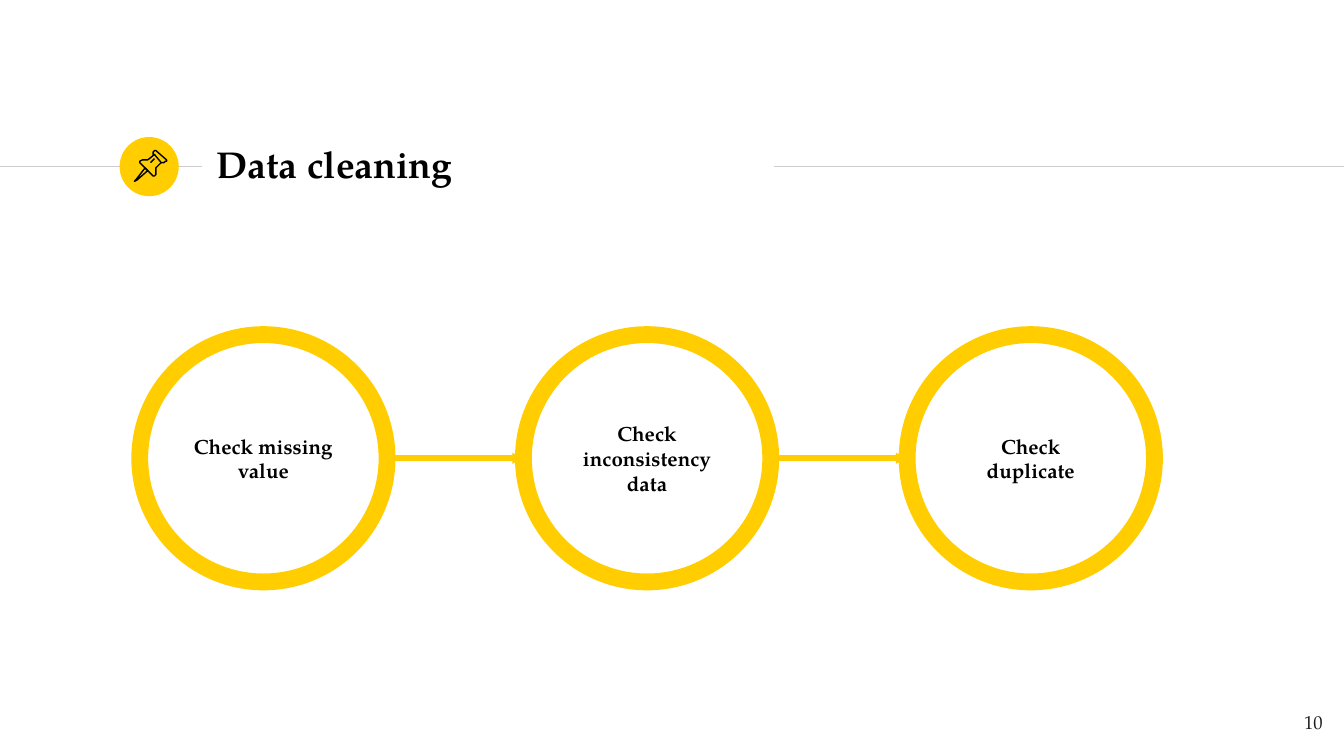
from lxml import etree
from pptx import Presentation
from pptx.dml.color import RGBColor
from pptx.enum.shapes import MSO_CONNECTOR as CONN, MSO_SHAPE as SHAPE
from pptx.enum.text import MSO_ANCHOR as ANCHOR, MSO_AUTO_SIZE as AUTO, PP_ALIGN as ALIGN
from pptx.oxml.ns import qn
from pptx.util import Inches, Pt

COLORS = {"yellow": "FFCD00", "rule": "CCCCCC", "black": "000000", "number": "1D1D1B"}
FONT = "TeX Gyre Pagella"

WIDTH = 10
HEIGHT = WIDTH * 9 / 16

STEPS = ["Check missing value", "Check inconsistency data", "Check duplicate"]
STEP_TOP, STEP_SIZE = 2.49, 1.84
FIRST_LEFT, LAST_LEFT = 1.04, 6.75
STEP_PITCH = (LAST_LEFT - FIRST_LEFT) / (len(STEPS) - 1)
RULE_Y = 1.24

PIN_NEEDLE = [(1.08, 1.25), (1.01, 1.34), (1, 1.35), (1.02, 1.34), (1.1, 1.27)]
PIN_HEAD = [(1.15, 1.15), (1.2, 1.21), (1.22, 1.21), (1.23, 1.2), (1.24, 1.2),
            (1.24, 1.19), (1.16, 1.12), (1.15, 1.12), (1.14, 1.13), (1.14, 1.15)]
PIN_BODY = [(1.15, 1.15), (1.1, 1.19), (1.08, 1.19), (1.06, 1.19), (1.04, 1.2),
            (1.04, 1.21), (1.14, 1.31), (1.15, 1.31), (1.16, 1.3), (1.16, 1.28),
            (1.16, 1.25), (1.2, 1.21)]
PIN_SHINE = [(1.12, 1.21), (1.15, 1.18)]


def rgb(name):
    return RGBColor.from_string(COLORS[name])


def write(sp, text, size, color="black", bold=False, align=ALIGN.LEFT, anchor=ANCHOR.MIDDLE):
    tf = sp.text_frame
    tf.word_wrap = True
    tf.auto_size = AUTO.NONE
    tf.vertical_anchor = anchor
    tf.margin_left = tf.margin_right = tf.margin_top = tf.margin_bottom = Inches(0.1)
    p = tf.paragraphs[0]
    p.alignment = align
    r = p.add_run()
    r.text = text
    r.font.name = FONT
    r.font.size = Pt(size)
    r.font.bold = bold
    r.font.color.rgb = rgb(color)


class Deck:
    def __init__(self, width, height):
        self.prs = Presentation()
        self.prs.slide_width = Inches(width)
        self.prs.slide_height = Inches(height)
        self.s = self.prs.slides.add_slide(self.prs.slide_layouts[5])

    def title(self, text, x, y, w, h):
        sp = self.s.shapes.title
        sp.left, sp.top, sp.width, sp.height = map(Inches, (x, y, w, h))
        write(sp, text, 20, bold=True)

    def text(self, text, x, y, w, h, size, **style):
        sp = self.s.shapes.add_textbox(*map(Inches, (x, y, w, h)))
        write(sp, text, size, **style)

    def style(self, sp, fill=None, line=None, width=0.75):
        sp.shadow.inherit = False
        if fill:
            sp.fill.solid()
            sp.fill.fore_color.rgb = rgb(fill)
        else:
            sp.fill.background()
        if line:
            sp.line.color.rgb = rgb(line)
            sp.line.width = Pt(width)
        else:
            sp.line.fill.background()

    def circle(self, x, y, size, **style):
        sp = self.s.shapes.add_shape(SHAPE.OVAL, *map(Inches, (x, y, size, size)))
        self.style(sp, **style)
        return sp

    def line(self, x1, x2, y, color, width, arrow=False):
        sp = self.s.shapes.add_connector(CONN.STRAIGHT, *map(Inches, (x1, y, x2, y)))
        sp.line.color.rgb = rgb(color)
        sp.line.width = Pt(width)
        props = sp._element.spPr
        if arrow:
            etree.SubElement(props.find(qn("a:ln")), qn("a:tailEnd"),
                             type="triangle", w="sm", len="sm")
        etree.SubElement(props, qn("a:effectLst"))

    def outline(self, points, close=False):
        start, *rest = [(Inches(x), Inches(y)) for x, y in points]
        builder = self.s.shapes.build_freeform(*start)
        builder.add_line_segments(rest, close=close)
        self.style(builder.convert_to_shape(), line="black")


def main():
    deck = Deck(WIDTH, HEIGHT)
    deck.line(0, 1.5, RULE_Y, "rule", 0.75)
    deck.circle(0.89, 1.02, 0.44, fill="yellow")
    deck.line(5.76, WIDTH, RULE_Y, "rule", 0.75)
    deck.title("Data cleaning", 1.51, 0.98, 4.24, 0.48)

    for points, close in [(PIN_NEEDLE, True), (PIN_HEAD, True),
                          (PIN_BODY, False), (PIN_SHINE, False)]:
        deck.outline(points, close)

    lefts = [FIRST_LEFT + i * STEP_PITCH for i in range(len(STEPS))]
    for text, x in zip(STEPS, lefts):
        sp = deck.circle(x, STEP_TOP, STEP_SIZE, line="yellow", width=9)
        write(sp, text, 11, bold=True, align=ALIGN.CENTER)
    for x, following in zip(lefts, lefts[1:]):
        deck.line(x + STEP_SIZE, following, STEP_TOP + STEP_SIZE / 2, "yellow", 3, arrow=True)

    deck.text("10", 9.34, 5.19, 0.6, 0.43, 10, color="number",
              align=ALIGN.RIGHT, anchor=ANCHOR.TOP)
    deck.prs.save("out.pptx")


if __name__ == "__main__":
    main()
